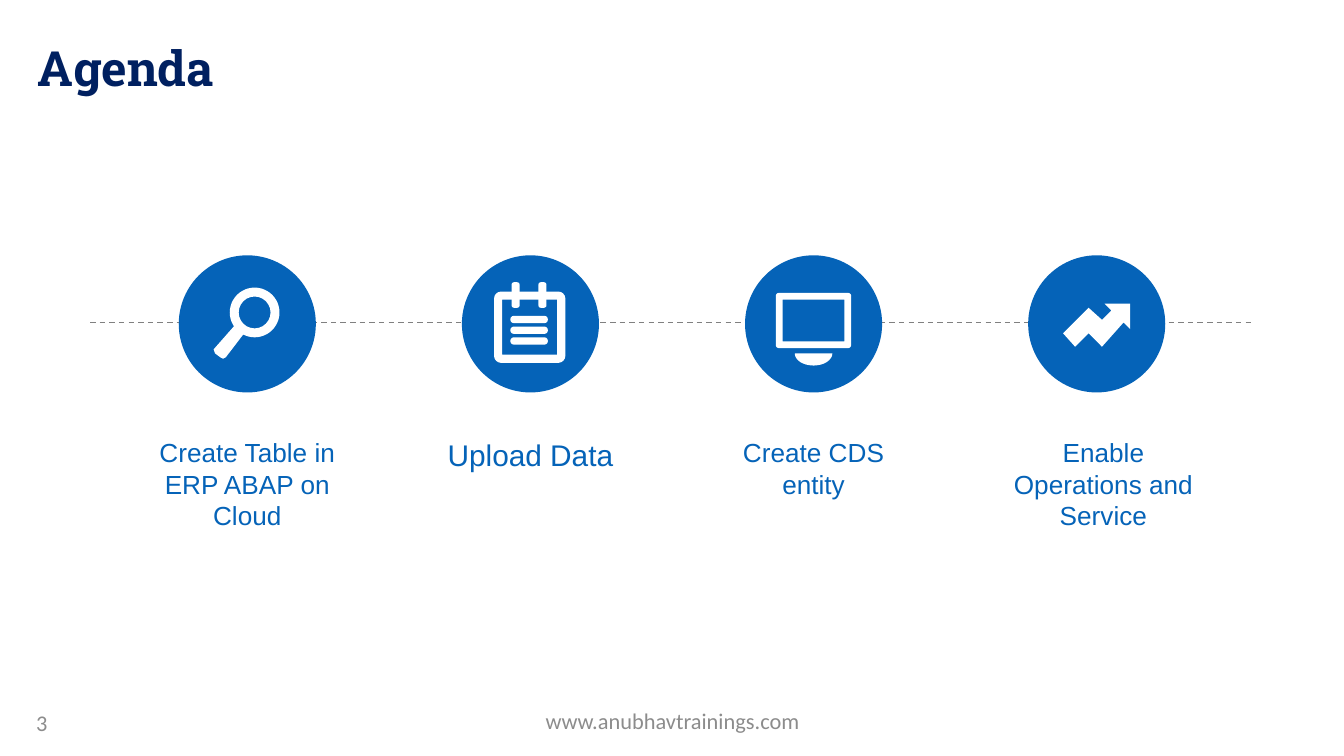
from math import cos, pi, sin

from lxml import etree
from pptx import Presentation
from pptx.dml.color import RGBColor
from pptx.enum.dml import MSO_LINE
from pptx.enum.shapes import MSO_CONNECTOR, MSO_SHAPE
from pptx.enum.text import MSO_ANCHOR, MSO_AUTO_SIZE, PP_ALIGN
from pptx.oxml.ns import qn
from pptx.util import Inches, Pt

LEFT, CENTER = PP_ALIGN.LEFT, PP_ALIGN.CENTER
TOP, MIDDLE = MSO_ANCHOR.TOP, MSO_ANCHOR.MIDDLE
FIXED, GROW = MSO_AUTO_SIZE.NONE, MSO_AUTO_SIZE.SHAPE_TO_FIT_TEXT
OVAL, DONUT, PILL = MSO_SHAPE.OVAL, MSO_SHAPE.DONUT, MSO_SHAPE.ROUNDED_RECTANGLE
STRAIGHT, DASH = MSO_CONNECTOR.STRAIGHT, MSO_LINE.DASH

THEME = {
    "blue": RGBColor(0x05, 0x63, 0xB8),
    "white": RGBColor(0xFF, 0xFF, 0xFF),
    "line": RGBColor(0x80, 0x80, 0x80),
    "footer": RGBColor(0x8C, 0x8C, 0x8C),
    "title_stops": (RGBColor(0x00, 0x20, 0x60), RGBColor(0x00, 0x70, 0xC0)),
    "title_font": {"name": "Roboto Slab", "size": Pt(26), "bold": True},
    "footer_font": {"name": "Calibri", "size": Pt(12)},
    "caption_font": {"name": "Arial", "size": Pt(14)},
    "large_caption_font": {"name": "Arial", "size": Pt(16)},
}

FIRST_COLUMN, LAST_COLUMN = 1.84, 8.16
DISC_ROW, DISC_SIZE = 2.41, 1.02
CAPTION_ROW, CAPTION_WIDTH = 3.2, 1.75
ICON_UNIT = Inches(0.01)
FINE_STEPS = 10


def paint(shape, color):
    shape.fill.solid()
    shape.fill.fore_color.rgb = color
    shape.line.fill.background()
    shape.shadow.inherit = False


def write(shape, text, font_format, color, **frame_format):
    frame = shape.text_frame
    frame.text = text
    paragraph = frame.paragraphs[0]
    paragraph.alignment = frame_format.pop("alignment", LEFT)
    for name, value in {"word_wrap": True, **frame_format}.items():
        setattr(frame, name, value)
    font = paragraph.runs[0].font
    for name, value in font_format.items():
        setattr(font, name, value)
    if color is not None:
        font.color.rgb = color
    return font


presentation = Presentation()
presentation.slide_width = Inches(10)
presentation.slide_height = presentation.slide_width * 9 // 16
slide = presentation.slides.add_slide(presentation.slide_layouts[5])
shapes = slide.shapes

title = shapes.title
title.left, title.top, title.width, title.height = map(Inches, (0.18, 0.23, 9, 0.58))
title_font = write(title, "Agenda", THEME["title_font"], None,
                   vertical_anchor=TOP, auto_size=FIXED)
title_font.fill.gradient()
title_font.fill.gradient_angle = 270
for stop, color in zip(title_font.fill.gradient_stops, THEME["title_stops"]):
    stop.color.rgb = color

timeline = shapes.add_connector(STRAIGHT, *map(Inches, (0.67, 2.4, 9.33, 2.4)))
timeline.line.color.rgb = THEME["line"]
timeline.line.width = Pt(0.75)
timeline.line.dash_style = DASH
etree.SubElement(timeline._element.spPr, qn("a:effectLst"))

for text, box, alignment in (
    ("www.anubhavtrainings.com", (3.42, 5.21, 3.17, 0.3), CENTER),
    ("3", (0.17, 5.23, 2.33, 0.3), LEFT),
):
    footer = shapes.add_textbox(*map(Inches, box))
    write(footer, text, THEME["footer_font"], THEME["footer"],
          alignment=alignment, vertical_anchor=MIDDLE)

steps = (
    ("Create Table in ERP ABAP on Cloud", "caption_font", 0.81, 0),
    ("Upload Data", "large_caption_font", 0.37, 0),
    ("Create CDS entity", "caption_font", 0.57, 0),
    ("Enable Operations and Service", "caption_font", 0.81, 0.05),
)
column_pitch = (LAST_COLUMN - FIRST_COLUMN) / (len(steps) - 1)
centers = [FIRST_COLUMN + column * column_pitch for column in range(len(steps))]
for center, (text, font_key, height, shift) in zip(centers, steps):
    disc = shapes.add_shape(OVAL, Inches(center - DISC_SIZE / 2),
                            Inches(DISC_ROW - DISC_SIZE / 2),
                            Inches(DISC_SIZE), Inches(DISC_SIZE))
    paint(disc, THEME["blue"])
    caption = shapes.add_textbox(Inches(center + shift - CAPTION_WIDTH / 2),
                                 Inches(CAPTION_ROW), Inches(CAPTION_WIDTH), Inches(height))
    write(caption, text, THEME[font_key], THEME["blue"], alignment=CENTER, auto_size=GROW)

handle = [(-8, 0), (-3, 4), (-2, 6), (-3, 8), (-16, 25), (-18, 26),
          (-20, 25), (-24, 22), (-25, 19), (-10, 2)]
stand = [(14 * cos(pi * step / 16), 22 + 9 * sin(pi * step / 16)) for step in range(17)]
arrow = [(6, -15), (25, -15), (25, 4), (20, -1), (4, 17), (-6, 7),
         (-16, 17), (-25, 7), (-6, -12), (4, -3), (11, -10)]
outlines = [(0, [handle]), (2, [stand]), (3, [arrow])]
for column, (left, top, right, bottom), border, radius in (
    (1, (-27, -24, 26, 29), 6, 5),
    (2, (-28, -23, 28, 18), 5, 2),
):
    outer = []
    for quarter, (x, y) in enumerate((
        (right - radius, bottom - radius), (left + radius, bottom - radius),
        (left + radius, top + radius), (right - radius, top + radius),
    )):
        angles = [(quarter + step / 4) * pi / 2 for step in range(5)]
        outer += [(x + radius * cos(angle), y + radius * sin(angle)) for angle in angles]
    inner = [(left + border, top + border), (left + border, bottom - border),
             (right - border, bottom - border), (right - border, top + border)]
    outlines.append((column, [outer, inner]))

for column, contours in outlines:
    fine = [[(x * FINE_STEPS, y * FINE_STEPS) for x, y in contour] for contour in contours]
    builder = shapes.build_freeform(*fine[0][0], scale=ICON_UNIT / FINE_STEPS)
    builder.add_line_segments(fine[0][1:], close=True)
    for contour in fine[1:]:
        builder.move_to(*contour[0])
        builder.add_line_segments(contour[1:], close=True)
    outline = builder.convert_to_shape(Inches(centers[column]), Inches(DISC_ROW))
    paint(outline, THEME["white"])

lens = [(0, DONUT, (-13, -27, 37, 37), 0.18)]
binder_pegs = [(1, PILL, (x, -31, 6, 19), 0.3) for x in (-14, 6)]
note_lines = [(1, PILL, (-15, y, 28, 5.5), 0.5) for y in (-6, 2, 10)]
for column, kind, (x, y, width, height), adjustment in lens + binder_pegs + note_lines:
    part = shapes.add_shape(kind, Inches(centers[column]) + int(x * ICON_UNIT),
                            Inches(DISC_ROW) + int(y * ICON_UNIT),
                            int(width * ICON_UNIT), int(height * ICON_UNIT))
    part.adjustments[0] = adjustment
    paint(part, THEME["white"])

presentation.save("out.pptx")
